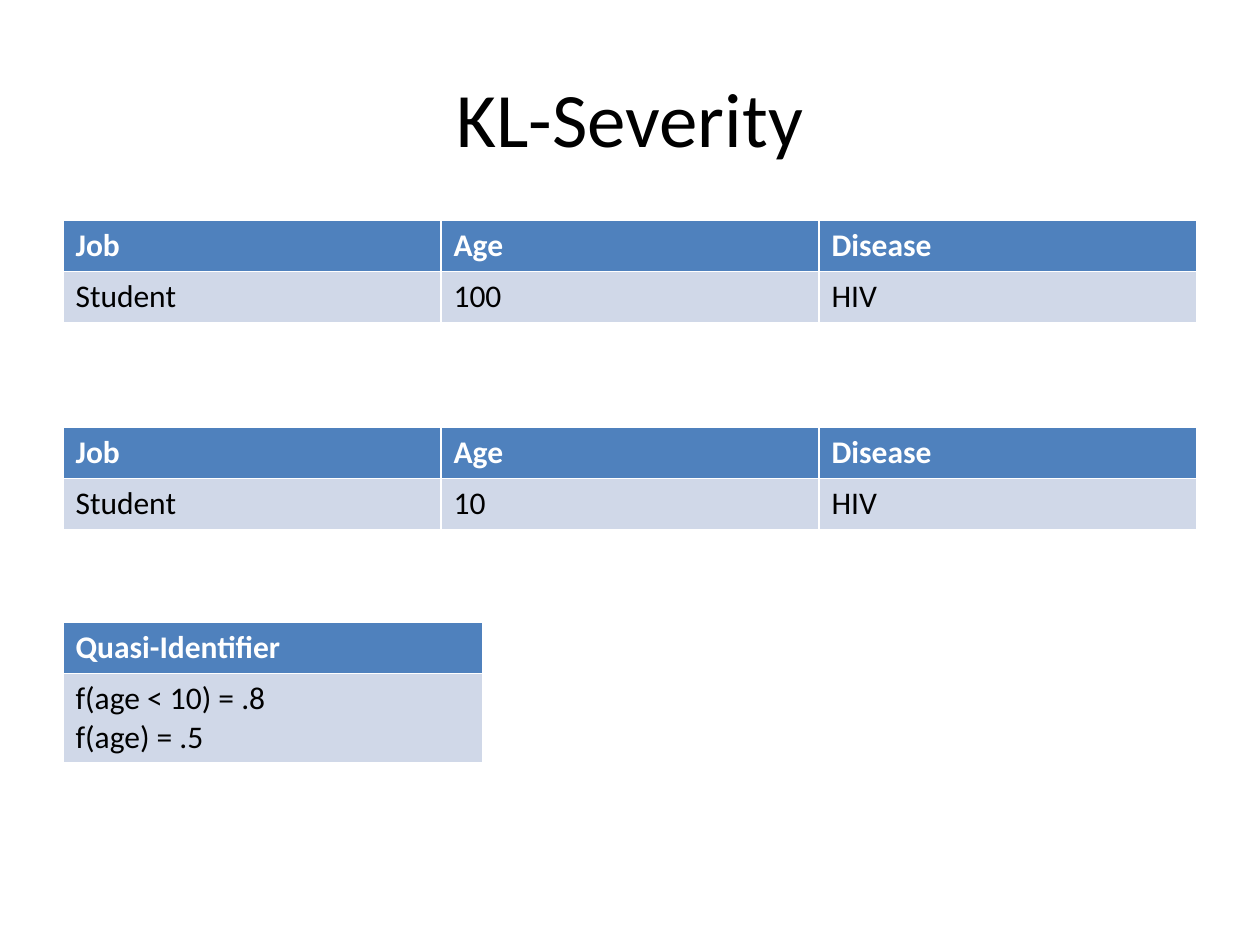
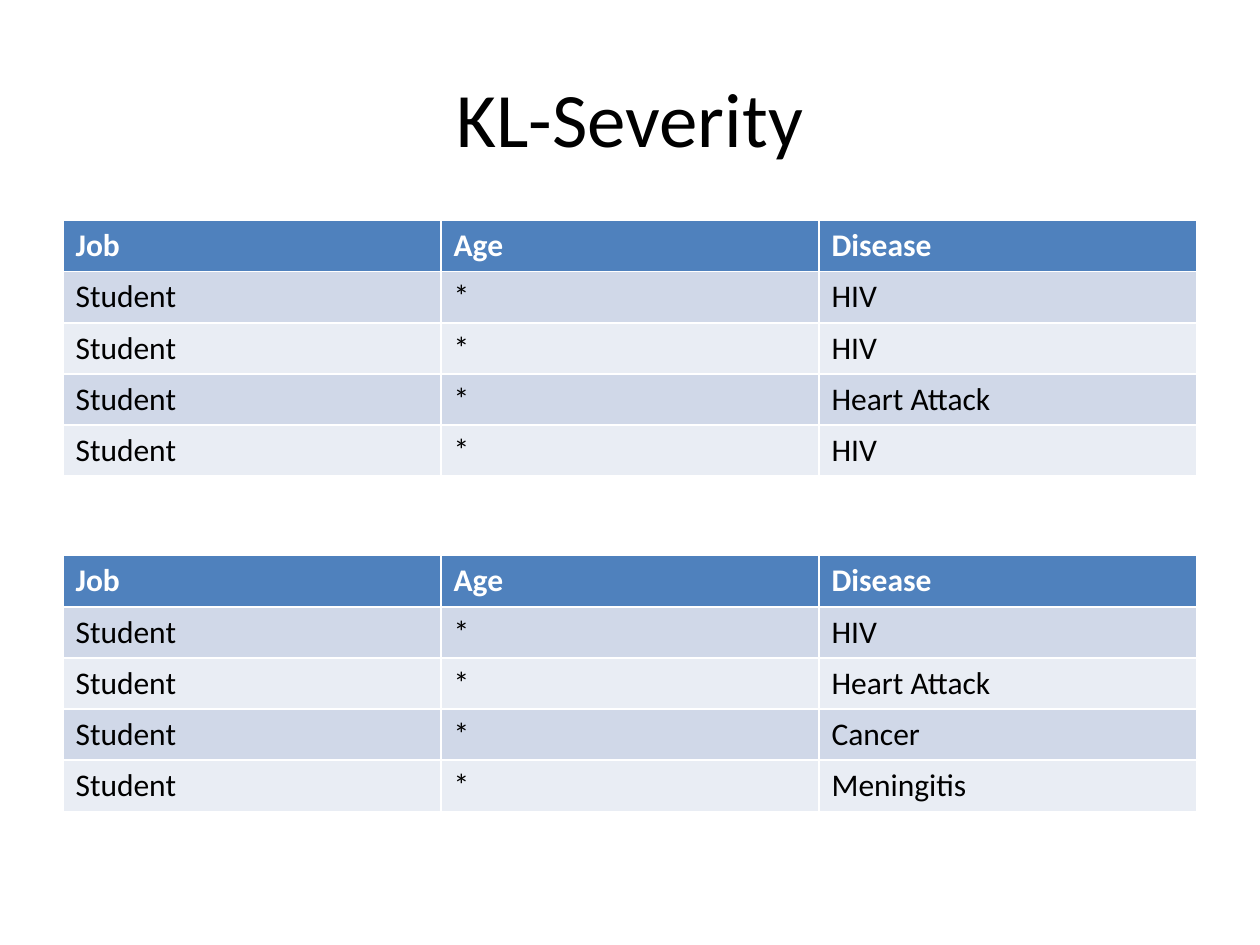
from pptx import Presentation
from pptx.dml.color import RGBColor as Color
from pptx.enum.text import MSO_ANCHOR as Anchor, PP_ALIGN as Align
from pptx.util import Inches, Pt

WIDTH, HEIGHT = 10, 7.5
MARGIN = WIDTH / 20
CONTENT = WIDTH - 2 * MARGIN
ROW = 2.03 / 5
COLORS = {"header": "4F81BD", "odd": "D0D8E8", "even": "E9EDF4",
          "light": "FFFFFF", "dark": "000000"}
TITLE_FONT = {"name": "Calibri", "size": Pt(44), "bold": False}
HEADER_FONT = {"name": "Calibri", "size": Pt(18), "bold": True}
BODY_FONT = {**HEADER_FONT, "bold": False}
TITLE = "KL-Severity"
PATIENT_HEADER = ("Job", "Age", "Disease")


def patients(age, *diseases):
    """Return the patient table's rows for students of one age."""
    return [PATIENT_HEADER, *(("Student", age, disease) for disease in diseases)]


SLIDES = [
    [
        (1.75, CONTENT, patients("100", "HIV")),
        (3.39, CONTENT, patients("10", "HIV")),
        (4.94, WIDTH / 3, [("Quasi-Identifier",),
                           ("f(age < 10) = .8\vf(age) = .5",)]),
    ],
    [
        (1.75, CONTENT, patients("*", "HIV", "HIV", "Heart Attack", "HIV")),
        (4.41, CONTENT, patients("*", "HIV", "Heart Attack", "Cancer", "Meningitis")),
    ],
]


def write(frame, text, formats, color):
    """Put text in a frame's first paragraph and format its runs."""
    para = frame.paragraphs[0]
    para.text = text
    for span in para.runs:
        for name, value in formats.items():
            setattr(span.font, name, value)
        span.font.color.rgb = Color.from_string(COLORS[color])
    return para


def add_title(page, box):
    """Place and format the title placeholder in the box."""
    title = page.shapes.title
    for name, value in zip(("left", "top", "width", "height"), box):
        setattr(title, name, Inches(value))
    title.text_frame.vertical_anchor = Anchor.MIDDLE
    write(title.text_frame, TITLE, TITLE_FONT, "dark").alignment = Align.CENTER


def add_records(page, left, top, width, records):
    """Add a table with a header row and alternating body rows."""
    box = (left, top, width, ROW * len(records))
    table = page.shapes.add_table(len(records), len(records[0]),
                                  *map(Inches, box)).table
    for row, record in enumerate(records):
        table.rows[row].height = Inches(ROW)
        if row == 0:
            fill, formats, color = "header", HEADER_FONT, "light"
        else:
            fill, formats, color = ("odd" if row % 2 else "even"), BODY_FONT, "dark"
        for column, text in enumerate(record):
            cell = table.cell(row, column)
            cell.fill.solid()
            cell.fill.fore_color.rgb = Color.from_string(COLORS[fill])
            write(cell.text_frame, text, formats, color)


def add_severity_page(deck, tables):
    """Add a titled slide with its tables along the left margin."""
    page = deck.slides.add_slide(deck.slide_layouts[5])
    add_title(page, (MARGIN, HEIGHT * 0.04, CONTENT, HEIGHT / 6))
    for top, width, records in tables:
        add_records(page, MARGIN, top, width, records)


def main():
    """Build and save the deck."""
    deck = Presentation()
    deck.slide_width, deck.slide_height = Inches(WIDTH), Inches(HEIGHT)
    for tables in SLIDES:
        add_severity_page(deck, tables)
    deck.save("out.pptx")


if __name__ == "__main__":
    main()
